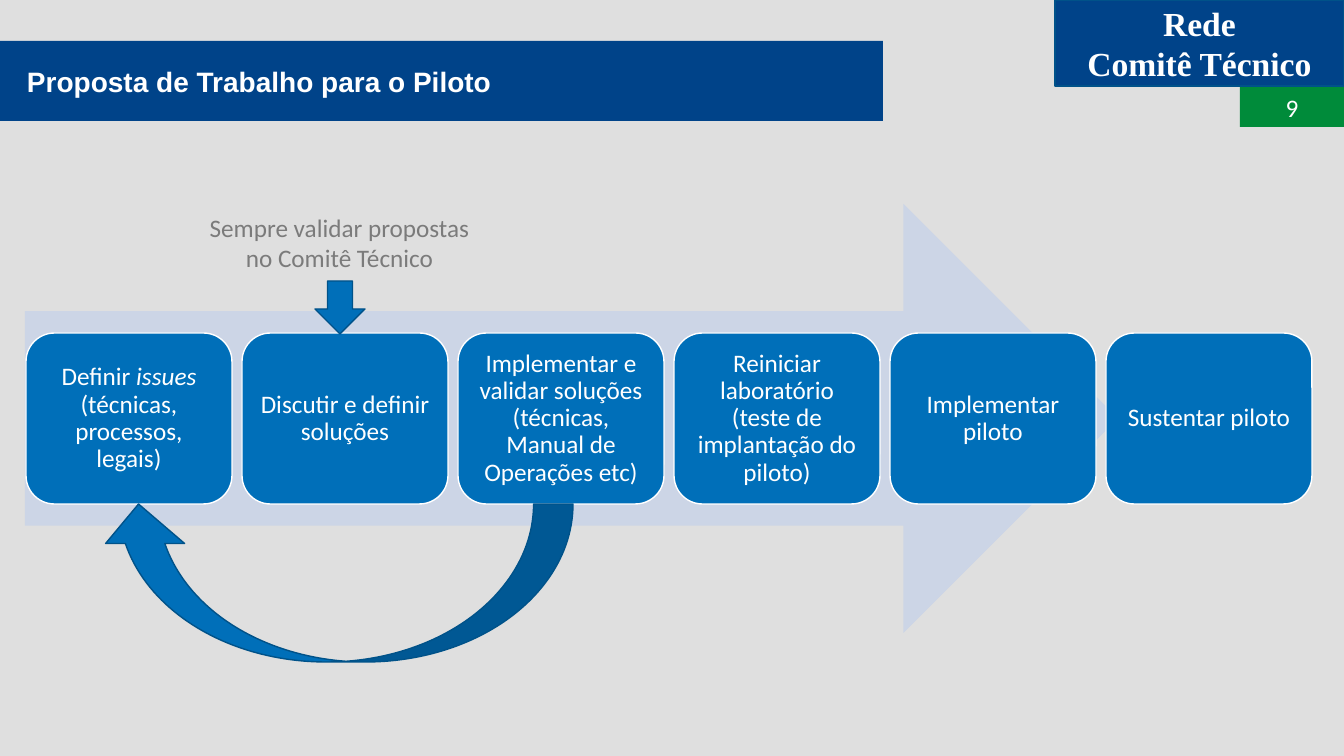
"""Build the slide that sets out the pilot's work plan."""
from dataclasses import dataclass

from pptx import Presentation
from pptx.dml.color import RGBColor
from pptx.enum.shapes import MSO_SHAPE
from pptx.enum.text import MSO_ANCHOR, PP_ALIGN
from pptx.shapes.autoshape import Shape
from pptx.util import Emu, Pt


@dataclass(frozen=True)
class Theme:
    """Hold the colours, fonts and type sizes."""
    back: str = "DFDFDF"
    navy: str = "004389"
    green: str = "008B3A"
    blue: str = "006FB9"
    edge: str = "005289"
    pale: str = "CCD5E6"
    white: str = "FFFFFF"
    gray: str = "7B7B7B"
    sans: str = "Calibri"
    bold: str = "Arial"
    serif: str = "Times New Roman"
    body: int = 18
    title: int = 20
    head: int = 24


@dataclass(frozen=True)
class Block:
    """Describe one filled shape, in pixels."""
    left: int
    top: int
    width: int
    height: int
    fill: str
    kind: MSO_SHAPE = MSO_SHAPE.RECTANGLE
    line: str | None = None
    turn: int = 0


THEME = Theme()
STEPS = (
    "Definir *issues *(técnicas, processos, legais)",
    "Discutir e definir soluções",
    "Implementar e validar soluções (técnicas, Manual de Operações etc)",
    "Reiniciar laboratório (teste de implantação do piloto)",
    "Implementar piloto",
    "Sustentar piloto",
)
STEP_LEFT, STEP_TOP, STEP_WIDE, STEP_HIGH, STEP_GAP = 26, 333, 206, 171, 10


def px(count: float) -> Emu:
    """Turn pixels into EMU."""
    return Emu(round(count * 914400 / 100.8))


def tint(code: str) -> RGBColor:
    """Turn a hex code into a colour."""
    return RGBColor.from_string(code)


def draw(block: Block) -> Shape:
    """Draw one block on the slide."""
    shape = slide.shapes.add_shape(
        block.kind, px(block.left), px(block.top), px(block.width), px(block.height))
    shape.shadow.inherit = False
    shape.rotation = block.turn
    shape.fill.solid()
    shape.fill.fore_color.rgb = tint(block.fill)
    if block.line:
        shape.line.color.rgb = tint(block.line)
        shape.line.width = Pt(1)
    else:
        shape.line.fill.background()
    return shape


def write(shape: Shape, text: str, *, size: int = THEME.body, font: str = THEME.sans,
          color: str = THEME.white, bold: bool = False, align: PP_ALIGN = PP_ALIGN.CENTER,
          anchor: MSO_ANCHOR = MSO_ANCHOR.MIDDLE, side: int = 10, edge: int = 5,
          space: float = 1.0) -> None:
    """Write lines of text, with italics between asterisks."""
    frame = shape.text_frame
    frame.word_wrap = True
    frame.vertical_anchor = anchor
    frame.margin_left = frame.margin_right = px(side)
    frame.margin_top = frame.margin_bottom = px(edge)
    for row, line in enumerate(text.split("\n")):
        para = frame.add_paragraph() if row else frame.paragraphs[0]
        para.alignment = align
        para.line_spacing = space
        for part, words in enumerate(line.split("*")):
            run = para.add_run()
            run.text = words
            run.font.size = Pt(size)
            run.font.name = font
            run.font.bold = bold
            run.font.italic = part % 2 == 1
            run.font.color.rgb = tint(color)


deck = Presentation()
deck.slide_width, deck.slide_height = px(1344), px(756)
slide = deck.slides.add_slide(deck.slide_layouts[6])
slide.background.fill.solid()
slide.background.fill.fore_color.rgb = tint(THEME.back)

write(draw(Block(1240, 87, 104, 40, THEME.green)), "9")
write(draw(Block(1055, 0, 289, 86, THEME.navy, line=THEME.edge)), "Rede\nComitê Técnico",
      size=THEME.head, font=THEME.serif, bold=True)
write(draw(Block(0, 41, 883, 80, THEME.navy)), "Proposta de Trabalho para o Piloto",
      size=THEME.title, font=THEME.bold, bold=True, align=PP_ALIGN.LEFT, side=27)

draw(Block(25, 204, 1093, 429, THEME.pale, MSO_SHAPE.RIGHT_ARROW))
for spot, step in enumerate(STEPS):
    left = STEP_LEFT + spot * (STEP_WIDE + STEP_GAP)
    box = draw(Block(left, STEP_TOP, STEP_WIDE, STEP_HIGH, THEME.blue,
                     MSO_SHAPE.ROUNDED_RECTANGLE, THEME.white))
    write(box, step, side=7, edge=7, space=0.9)

draw(Block(257, 346, 158, 474, THEME.blue, MSO_SHAPE.CURVED_LEFT_ARROW, THEME.edge, 90))
draw(Block(315, 281, 50, 53, THEME.blue, MSO_SHAPE.DOWN_ARROW, THEME.edge))
note = slide.shapes.add_textbox(px(186), px(207), px(307), px(72))
write(note, "Sempre validar propostas no Comitê Técnico", color=THEME.gray,
      anchor=MSO_ANCHOR.TOP)

deck.save("out.pptx")
